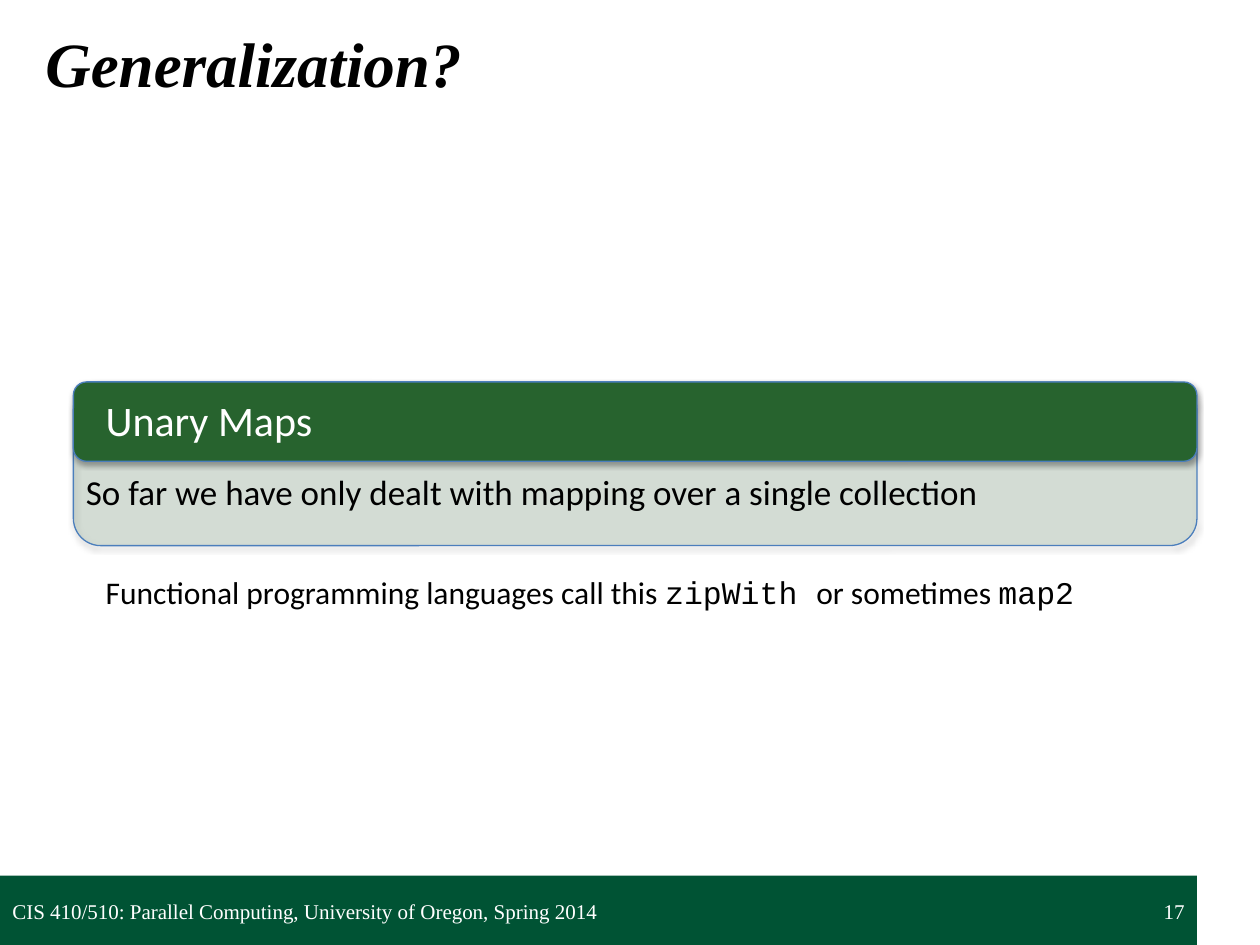
from lxml import etree
from pptx import Presentation
from pptx.dml.color import RGBColor
from pptx.enum.shapes import MSO_SHAPE
from pptx.enum.text import MSO_ANCHOR, MSO_AUTO_SIZE, PP_ALIGN
from pptx.oxml.ns import qn
from pptx.util import Cm, Pt

RECTANGLE, ROUNDED = MSO_SHAPE.RECTANGLE, MSO_SHAPE.ROUNDED_RECTANGLE
TOP, MIDDLE = MSO_ANCHOR.TOP, MSO_ANCHOR.MIDDLE
LEFT, RIGHT = PP_ALIGN.LEFT, PP_ALIGN.RIGHT
FIXED, GROW = MSO_AUTO_SIZE.NONE, MSO_AUTO_SIZE.SHAPE_TO_FIT_TEXT


def color(value):
    return RGBColor.from_string(value)


class SlideBuilder:
    SERIF, SANS, MONO = "Times New Roman", "Calibri", "Courier New"
    BLACK, WHITE = "000000", "FFFFFF"
    BAR, PANEL, OUTLINE = "005334", "27632E", "4B7EBC"

    def __init__(self, presentation):
        self.slide = presentation.slides.add_slide(presentation.slide_layouts[5])
        self.shapes = self.slide.shapes

    def start_group(self):
        self.shapes = self.slide.shapes.add_group_shape().shapes

    def end_group(self):
        self.shapes = self.slide.shapes

    def fill_text(self, shape, runs, size, text_color, align=LEFT, bold=False, italic=False,
                  **frame_format):
        """Fill a shape with one paragraph made of (text, font name) runs."""
        frame = shape.text_frame
        for name, value in {"word_wrap": True, **frame_format}.items():
            setattr(frame, name, value)
        paragraph = frame.paragraphs[0]
        paragraph.alignment = align
        for text, font_name in runs:
            run = paragraph.add_run()
            run.text = text
            font_format = {"name": font_name, "size": Pt(size), "bold": bold, "italic": italic}
            for name, value in font_format.items():
                setattr(run.font, name, value)
            run.font.color.rgb = color(text_color)

    def title(self, text, left, top, width, height):
        title = self.slide.shapes.title
        place = {"left": left, "top": top, "width": width, "height": height}
        for name, value in place.items():
            setattr(title, name, Cm(value))
        self.fill_text(title, [(text, self.SERIF)], 36, self.BLACK, bold=True, italic=True,
                       vertical_anchor=MIDDLE, auto_size=FIXED)

    def text(self, runs, box, size, text_color, **text_format):
        text_box = self.shapes.add_textbox(*map(Cm, box))
        self.fill_text(text_box, runs, size, text_color,
                       **{"vertical_anchor": TOP, "auto_size": GROW, **text_format})

    def footer_text(self, text, box, align):
        margins = {f"margin_{side}": Cm(0.25) for side in ("left", "top", "right", "bottom")}
        self.text([(text, self.SERIF)], box, 12, self.WHITE, align=align,
                  vertical_anchor=MIDDLE, auto_size=FIXED, **margins)

    def block(self, kind, box, fill):
        shape = self.shapes.add_shape(kind, *map(Cm, box))
        shape.shadow.inherit = False
        shape.fill.solid()
        shape.fill.fore_color.rgb = color(fill)
        shape.line.fill.background()
        return shape

    def panel(self, box, opacity=100):
        """Add a rounded, outlined block with a soft shadow below it."""
        shape = self.block(ROUNDED, box, self.PANEL)
        shape.line.color.rgb = color(self.OUTLINE)
        shape.line.width = Pt(0.75)
        properties = shape._element.spPr
        if opacity < 100:
            self.set_opacity(properties.find(qn("a:solidFill"))[0], opacity)
        shadow = etree.SubElement(properties.find(qn("a:effectLst")), qn("a:outerShdw"),
                                  blurRad=str(Pt(3.1)), dist=str(Pt(1.8)),
                                  dir=str(90 * 60000), rotWithShape="0")
        shadow_color = etree.SubElement(shadow, qn("a:srgbClr"), val=self.BLACK)
        self.set_opacity(shadow_color, 35)

    @staticmethod
    def set_opacity(color_element, percent):
        etree.SubElement(color_element, qn("a:alpha"), val=str(percent * 1000))


def main():
    presentation = Presentation()
    presentation.slide_width, presentation.slide_height = Cm(25.4), Cm(19.05)
    builder = SlideBuilder(presentation)
    sans, mono = builder.SANS, builder.MONO

    builder.block(RECTANGLE, (0, 17.65, 24.13, 1.4), builder.BAR)
    builder.title("Generalization?", 0.66, 0.03, 24.74, 2.44)
    builder.footer_text("CIS 410/510: Parallel Computing, University of Oregon, Spring 2014",
                        (0, 17.7, 16.71, 1.35), LEFT)
    builder.footer_text("17", (18.21, 17.7, 5.92, 1.35), RIGHT)

    left, top, width = 1.48, 7.7, 22.65
    builder.start_group()
    builder.panel((left, top, width, 3.3), opacity=15)
    builder.text([("So far we have only dealt with mapping over a single collection", sans)],
                 (left, 9.37, width, 1.11), 20, builder.BLACK)
    builder.panel((left, top, width, 1.6))
    builder.text([("Unary Maps", sans)], (1.88, 7.82, 22.15, 1.28), 24, builder.WHITE)
    builder.end_group()

    builder.text([("Functional programming languages call this ", sans), ("zipWith ", mono),
                  ("or sometimes ", sans), ("map2", mono)],
                 (1.88, 11.43, 21.82, 1.03), 18, builder.BLACK)
    presentation.save("out.pptx")


if __name__ == "__main__":
    main()
